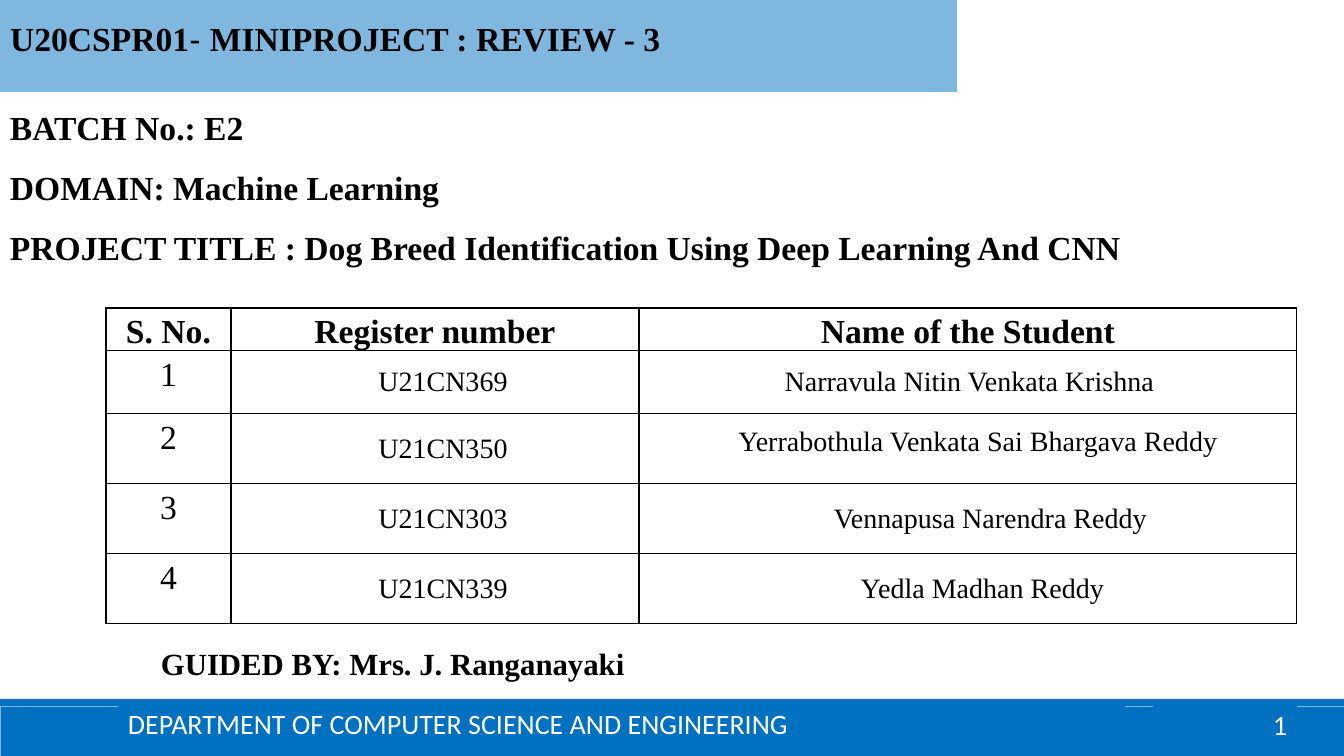
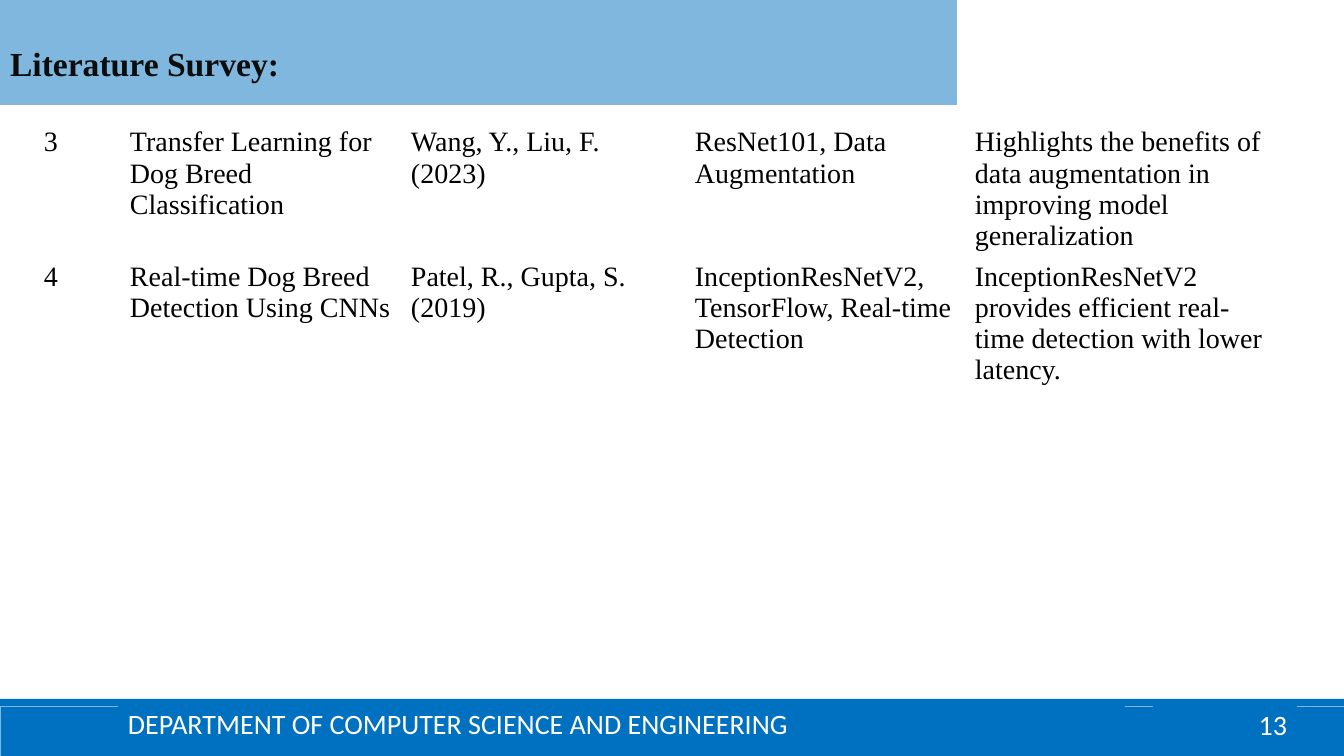
"""Build two project review slides with a shared title band and footer."""
import dataclasses
import typing

import pptx
import pptx.dml.color
import pptx.enum.shapes
import pptx.enum.text
import pptx.oxml
import pptx.oxml.ns
import pptx.presentation
import pptx.shapes.autoshape
import pptx.slide
import pptx.table
import pptx.text.text
import pptx.util

ALIGN = pptx.enum.text.PP_ALIGN
ANCHOR = pptx.enum.text.MSO_ANCHOR
SCALE = 12192000 / 1344


@dataclasses.dataclass(frozen=True)
class Theme:
    blue: str = "0070C0"
    edge: str = "7FB7DF"
    black: str = "000000"
    heading: str = "0D0D0D"
    white: str = "FFFFFF"
    serif: str = "Times New Roman"
    sans: str = "Calibri"
    plain: str = "Arial"
    large: int = 24
    medium: int = 22
    body: int = 20
    border: int = 1
    hairline: float = 0.5
    band_alpha: int = 50


THEME = Theme()


class Area(typing.NamedTuple):
    left: int
    top: int
    width: int
    height: int


@dataclasses.dataclass(frozen=True)
class Span:
    text: str
    size: int = THEME.large
    bold: bool = True
    color: str = THEME.black
    font: str = THEME.serif


@dataclasses.dataclass(frozen=True)
class Line:
    area: Area
    span: Span


@dataclasses.dataclass(frozen=True)
class Entry:
    span: Span
    align: ALIGN = ALIGN.CENTER
    anchor: ANCHOR = ANCHOR.TOP
    margins: tuple[int, int] = (0, 0)
    left_indent: int = 0
    first_indent: int = 0
    spacing: float | pptx.util.Pt | None = None


class Student(typing.NamedTuple):
    register: str
    name: str
    left_indent: int
    first_indent: int = 0
    spacing: pptx.util.Pt | None = None


FOOTER_BAND = Area(0, 706, 1344, 50)
FOOTER_EDGE = Area(0, 699, 1344, 7)
DEPARTMENT_AREA = Area(118, 704, 1007, 39)
NUMBER_AREA = Area(1153, 704, 144, 40)
BAND_WIDTH = 957

DETAILS = (
    Line(Area(0, 102, 397, 50), Span("BATCH No.: E2")),
    Line(Area(0, 162, 463, 50), Span("DOMAIN: Machine Learning")),
    Line(Area(0, 222, 1140, 50),
         Span("PROJECT TITLE : Dog Breed Identification Using Deep Learning And CNN")),
    Line(Area(151, 640, 492, 47), Span("GUIDED BY: Mrs. J. Ranganayaki", THEME.medium)),
)
STUDENTS = (
    Student("U21CN369", "Narravula Nitin Venkata Krishna", 3),
    Student("U21CN350", "Yerrabothula Venkata Sai Bhargava Reddy", 33, -13, pptx.util.Pt(13)),
    Student("U21CN303", "Vennapusa Narendra Reddy", 45),
    Student("U21CN339", "Yedla Madhan Reddy", 29),
)
PAPERS = (
    ("3", "Transfer Learning for Dog Breed Classification", "Wang, Y., Liu, F. (2023)",
     "ResNet101, Data Augmentation",
     "Highlights the benefits of data augmentation in improving model generalization"),
    ("4", "Real-time Dog Breed Detection Using CNNs", "Patel, R., Gupta, S. (2019)",
     "InceptionResNetV2, TensorFlow, Real-time Detection",
     "InceptionResNetV2 provides efficient real-time detection with lower latency."),
)


def px(length: int) -> pptx.util.Emu:
    """Turn px into EMU."""
    return pptx.util.Emu(round(length * SCALE))


def rgb(color: str) -> pptx.dml.color.RGBColor:
    """Turn a hex string into a colour."""
    return pptx.dml.color.RGBColor.from_string(color)


def add_spans(para: pptx.text.text._Paragraph, spans: typing.Iterable[Span]) -> None:
    """Add formatted runs to a paragraph."""
    for span in spans:
        run = para.add_run()
        run.text = span.text
        run.font.size = pptx.util.Pt(span.size)
        run.font.bold = span.bold
        run.font.name = span.font
        run.font.color.rgb = rgb(span.color)


def add_panel(page: pptx.slide.Slide, area: Area) -> pptx.shapes.autoshape.Shape:
    """Add a flat blue rectangle."""
    panel = page.shapes.add_shape(pptx.enum.shapes.MSO_SHAPE.RECTANGLE, *map(px, area))
    panel.shadow.inherit = False
    panel.fill.solid()
    panel.fill.fore_color.rgb = rgb(THEME.blue)
    panel.line.fill.background()
    return panel


def add_footer_bands(deck: pptx.presentation.Presentation, page: pptx.slide.Slide) -> None:
    """Place the footer bands on the master."""
    band = add_panel(page, FOOTER_BAND)
    band.line.color.rgb = rgb(THEME.edge)
    band.line.width = pptx.util.Pt(THEME.hairline)
    edge = add_panel(page, FOOTER_EDGE)
    tree = deck.slide_master.shapes.element
    for position, panel in enumerate((band, edge)):
        panel.element.nvSpPr.cNvPr.set("id", str(100 + position))
        tree.insert(2 + position, panel.element)


def add_footer_text(page: pptx.slide.Slide, number: str) -> None:
    """Add the page number and the department name."""
    for area, text, align in (
        (NUMBER_AREA, number, ALIGN.RIGHT),
        (DEPARTMENT_AREA, "DEPARTMENT OF COMPUTER SCIENCE AND ENGINEERING", ALIGN.LEFT),
    ):
        frame = add_panel(page, area).text_frame
        frame.vertical_anchor = ANCHOR.MIDDLE
        frame.word_wrap = True
        para = frame.paragraphs[0]
        para.alignment = align
        add_spans(para, [Span(text, THEME.body, False, THEME.white, THEME.sans)])


def set_title(page: pptx.slide.Slide, spans: typing.Iterable[Span], height: int,
              bottom_inset: int, spacing: float) -> None:
    """Turn the title placeholder into the translucent band."""
    title = page.shapes.title
    title.left, title.top, title.width, title.height = map(px, (0, 0, BAND_WIDTH, height))
    title.fill.solid()
    title.fill.fore_color.rgb = rgb(THEME.blue)
    color = title.element.spPr.find(".//" + pptx.oxml.ns.qn("a:srgbClr"))
    color.append(pptx.oxml.parse_xml(
        f'<a:alpha {pptx.oxml.ns.nsdecls("a")} val="{THEME.band_alpha * 1000}"/>'))
    frame = title.text_frame
    frame.auto_size = pptx.enum.text.MSO_AUTO_SIZE.NONE
    frame.word_wrap = True
    frame.vertical_anchor = ANCHOR.MIDDLE
    frame.margin_bottom = px(bottom_inset)
    para = frame.paragraphs[0]
    para.alignment = ALIGN.LEFT
    para.line_spacing = spacing
    add_spans(para, spans)


def add_line(page: pptx.slide.Slide, line: Line) -> None:
    """Add one line of text in its own box."""
    box = page.shapes.add_textbox(*map(px, line.area))
    box.text_frame.word_wrap = True
    add_spans(box.text_frame.paragraphs[0], [line.span])


def add_borders(cell: pptx.table._Cell) -> None:
    """Draw black lines on all sides of a cell."""
    for side in "LRTB":
        cell._tc.get_or_add_tcPr().append(pptx.oxml.parse_xml(
            f'<a:ln{side} {pptx.oxml.ns.nsdecls("a")} w="{pptx.util.Pt(THEME.border)}">'
            f'<a:solidFill><a:srgbClr val="{THEME.black}"/></a:solidFill></a:ln{side}>'))


def fill_cell(cell: pptx.table._Cell, entry: Entry, bordered: bool) -> None:
    """Write and format one table cell."""
    if bordered:
        add_borders(cell)
    cell.fill.background()
    cell.vertical_anchor = entry.anchor
    side, end = map(px, entry.margins)
    cell.margin_left = cell.margin_right = side
    cell.margin_top = cell.margin_bottom = end
    para = cell.text_frame.paragraphs[0]
    para.alignment = entry.align
    if entry.spacing is not None:
        para.line_spacing = entry.spacing
    properties = para._p.get_or_add_pPr()
    properties.set("marL", str(px(entry.left_indent)))
    properties.set("indent", str(px(entry.first_indent)))
    add_spans(para, [entry.span])


def add_grid(page: pptx.slide.Slide, left: int, top: int, widths: typing.Sequence[int],
             heights: typing.Sequence[int], rows: typing.Sequence[typing.Sequence[Entry]],
             bordered: bool) -> None:
    """Add a table without banding."""
    area = Area(left, top, sum(widths), sum(heights))
    table = page.shapes.add_table(len(heights), len(widths), *map(px, area)).table
    table.first_row = table.horz_banding = False
    for column, width in zip(table.columns, widths):
        column.width = px(width)
    for row, height, entries in zip(table.rows, heights, rows):
        row.height = px(height)
        for cell, entry in zip(row.cells, entries):
            fill_cell(cell, entry, bordered)


def label_entry(text: str, bold: bool) -> Entry:
    """Format a heading or serial number."""
    return Entry(Span(text, bold=bold), margins=(7, 0), spacing=1.15)


def student_row(number: int, student: Student) -> list[Entry]:
    """Format the table row of one student."""
    return [
        label_entry(str(number), False),
        Entry(Span(student.register, THEME.body, False), anchor=ANCHOR.MIDDLE, left_indent=16),
        Entry(Span(student.name, THEME.body, False), anchor=ANCHOR.MIDDLE,
              left_indent=student.left_indent, first_indent=student.first_indent,
              spacing=student.spacing),
    ]


def build_cover(page: pptx.slide.Slide) -> None:
    """Build the project review slide."""
    spans = (Span("U20CSPR01"), Span("- ", bold=False, font=THEME.plain),
             Span("MINIPROJECT : REVIEW - 3"))
    set_title(page, spans, 92, 20, 1.0)
    add_footer_text(page, "1")
    headings = ("S. No.", "Register number", "Name of the Student")
    rows = [[label_entry(heading, True) for heading in headings]]
    rows += [student_row(number, student) for number, student in enumerate(STUDENTS, 1)]
    add_grid(page, 106, 308, (125, 408, 658), (42, 63, 70, 70, 70), rows, True)
    for line in DETAILS:
        add_line(page, line)


def build_survey(page: pptx.slide.Slide) -> None:
    """Build the literature survey slide."""
    set_title(page, [Span("Literature Survey:", color=THEME.heading)], 105, 5, 1.5)
    add_footer_text(page, "13")
    rows = [[Entry(Span(text, THEME.body, False), ALIGN.LEFT, margins=(10, 5))
             for text in paper] for paper in PAPERS]
    add_grid(page, 34, 122, (86, 281, 284, 280, 314), (134, 134), rows, False)


def main() -> None:
    """Build and save the deck."""
    deck = pptx.Presentation()
    deck.slide_width, deck.slide_height = px(1344), px(756)
    cover, survey = (deck.slides.add_slide(deck.slide_layouts[5]) for _ in range(2))
    add_footer_bands(deck, cover)
    build_cover(cover)
    build_survey(survey)
    deck.save("out.pptx")


if __name__ == "__main__":
    main()
